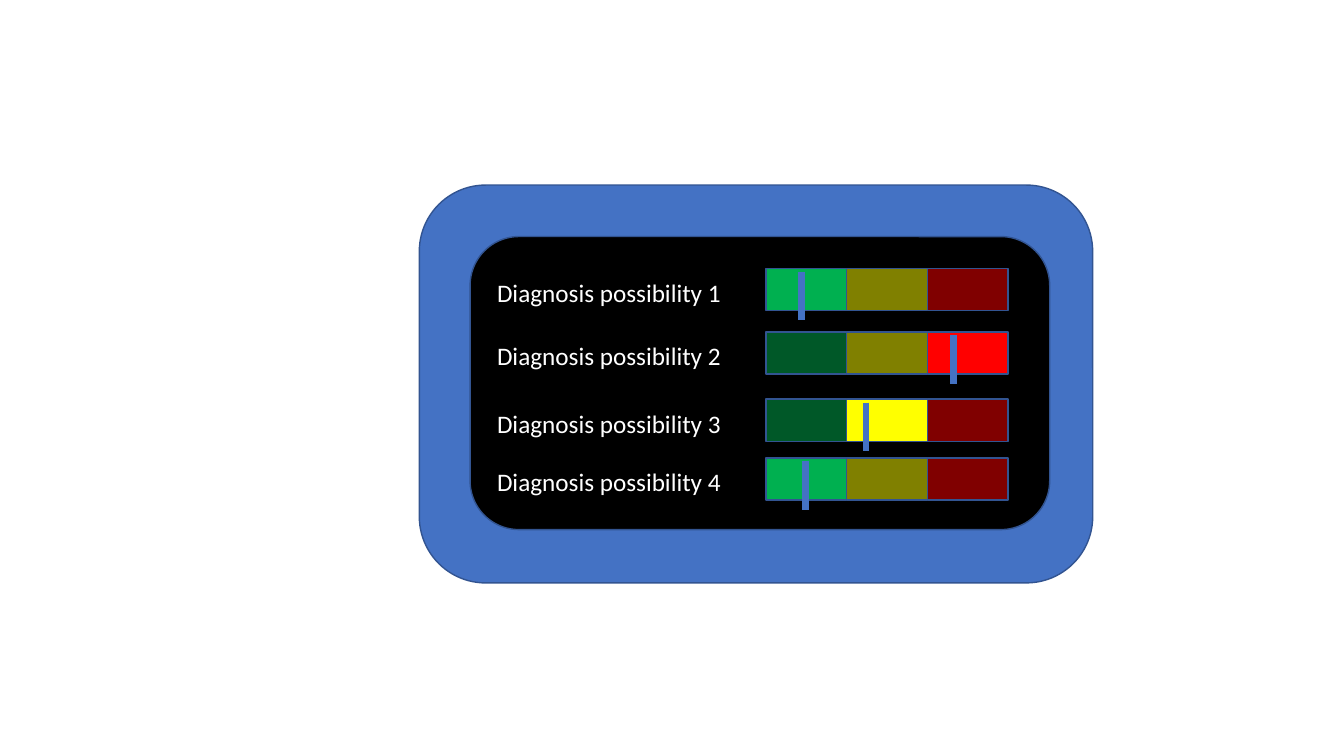
from dataclasses import dataclass

import pptx
import pptx.dml.color
import pptx.enum.shapes
import pptx.enum.text
import pptx.oxml.ns
import pptx.shapes.autoshape
import pptx.util
from lxml import etree

Pt = pptx.util.Pt
RGBColor = pptx.dml.color.RGBColor
MSO_SHAPE = pptx.enum.shapes.MSO_SHAPE

COLORS = {
    "casing": "4472C4",
    "outline": "325491",
    "screen": "000000",
    "label": "FFFFFF",
    "low": "00B050",
    "medium": "FFFF00",
    "high": "FF0000",
}
LEVELS = ("low", "medium", "high")
DIMMED_ALPHA = 50

# Gauge geometry in points
BAR_LEFT = 547.2
CELL_WIDTH, CELL_HEIGHT = 57.6, 30.2
LABEL_LEFT, LABEL_WIDTH, LABEL_HEIGHT = 253.4, 268.6, 28.8
LABEL_DROP = 2.9
MARKER_DROP, MARKER_LENGTH, MARKER_WEIGHT = 2.6, 34.6, 4.5


@dataclass
class Diagnosis:
    label: str
    top: float
    active_level: str
    marker_offset: float


DIAGNOSES = (
    Diagnosis("Diagnosis possibility 1", 191.6, "low", 25.2),
    Diagnosis("Diagnosis possibility 2", 237, "high", 133.9),
    Diagnosis("Diagnosis possibility 3", 285, "medium", 71.3),
    Diagnosis("Diagnosis possibility 4", 327, "low", 28.1),
)


def color(name: str) -> RGBColor:
    return RGBColor.from_string(COLORS[name])


def add_block(shapes, kind: MSO_SHAPE, left: float, top: float, width: float,
              height: float, fill: str) -> pptx.shapes.autoshape.Shape:
    shape = shapes.add_shape(kind, Pt(left), Pt(top), Pt(width), Pt(height))
    shape.shadow.inherit = False
    shape.fill.solid()
    shape.fill.fore_color.rgb = color(fill)
    shape.line.color.rgb = color("outline")
    shape.line.width = Pt(1)
    return shape


def dim(shape: pptx.shapes.autoshape.Shape) -> None:
    fill_color = shape.element.spPr.find(
        pptx.oxml.ns.qn("a:solidFill") + "/" + pptx.oxml.ns.qn("a:srgbClr"))
    alpha = etree.SubElement(fill_color, pptx.oxml.ns.qn("a:alpha"))
    alpha.set("val", str(DIMMED_ALPHA * 1000))


def add_label(shapes, text: str, top: float) -> None:
    box = shapes.add_textbox(Pt(LABEL_LEFT), Pt(top), Pt(LABEL_WIDTH), Pt(LABEL_HEIGHT))
    box.text_frame.word_wrap = True
    box.text_frame.auto_size = pptx.enum.text.MSO_AUTO_SIZE.SHAPE_TO_FIT_TEXT
    box.text_frame.text = text
    paragraph = box.text_frame.paragraphs[0]
    paragraph.alignment = pptx.enum.text.PP_ALIGN.RIGHT
    font = paragraph.runs[0].font
    font.name = "Calibri"
    font.size = Pt(18)
    font.color.rgb = color("label")


def add_marker(shapes, x: float, top: float) -> None:
    marker = shapes.add_connector(pptx.enum.shapes.MSO_CONNECTOR.STRAIGHT,
                                  Pt(x), Pt(top), Pt(x), Pt(top + MARKER_LENGTH))
    marker.line.color.rgb = color("casing")
    marker.line.width = Pt(MARKER_WEIGHT)
    etree.SubElement(marker.element.spPr, pptx.oxml.ns.qn("a:effectLst"))


def add_gauge(slide: pptx.slide.Slide, diagnosis: Diagnosis) -> None:
    group = slide.shapes.add_group_shape()
    add_label(group.shapes, diagnosis.label, diagnosis.top + LABEL_DROP)
    for index, level in enumerate(LEVELS):
        cell = add_block(group.shapes, MSO_SHAPE.RECTANGLE, BAR_LEFT + index * CELL_WIDTH,
                         diagnosis.top, CELL_WIDTH, CELL_HEIGHT, level)
        if level != diagnosis.active_level:
            dim(cell)
    add_marker(slide.shapes, BAR_LEFT + diagnosis.marker_offset, diagnosis.top + MARKER_DROP)


presentation = pptx.Presentation()
presentation.slide_width = Pt(960)
presentation.slide_height = Pt(540)
slide = presentation.slides.add_slide(presentation.slide_layouts[6])

# Device casing and screen
add_block(slide.shapes, MSO_SHAPE.ROUNDED_RECTANGLE, 299.5, 132.2, 481, 284.2, "casing")
add_block(slide.shapes, MSO_SHAPE.ROUNDED_RECTANGLE, 335.8, 169, 414, 209.3, "screen")

# Diagnosis gauges
for diagnosis in DIAGNOSES:
    add_gauge(slide, diagnosis)

presentation.save("out.pptx")
